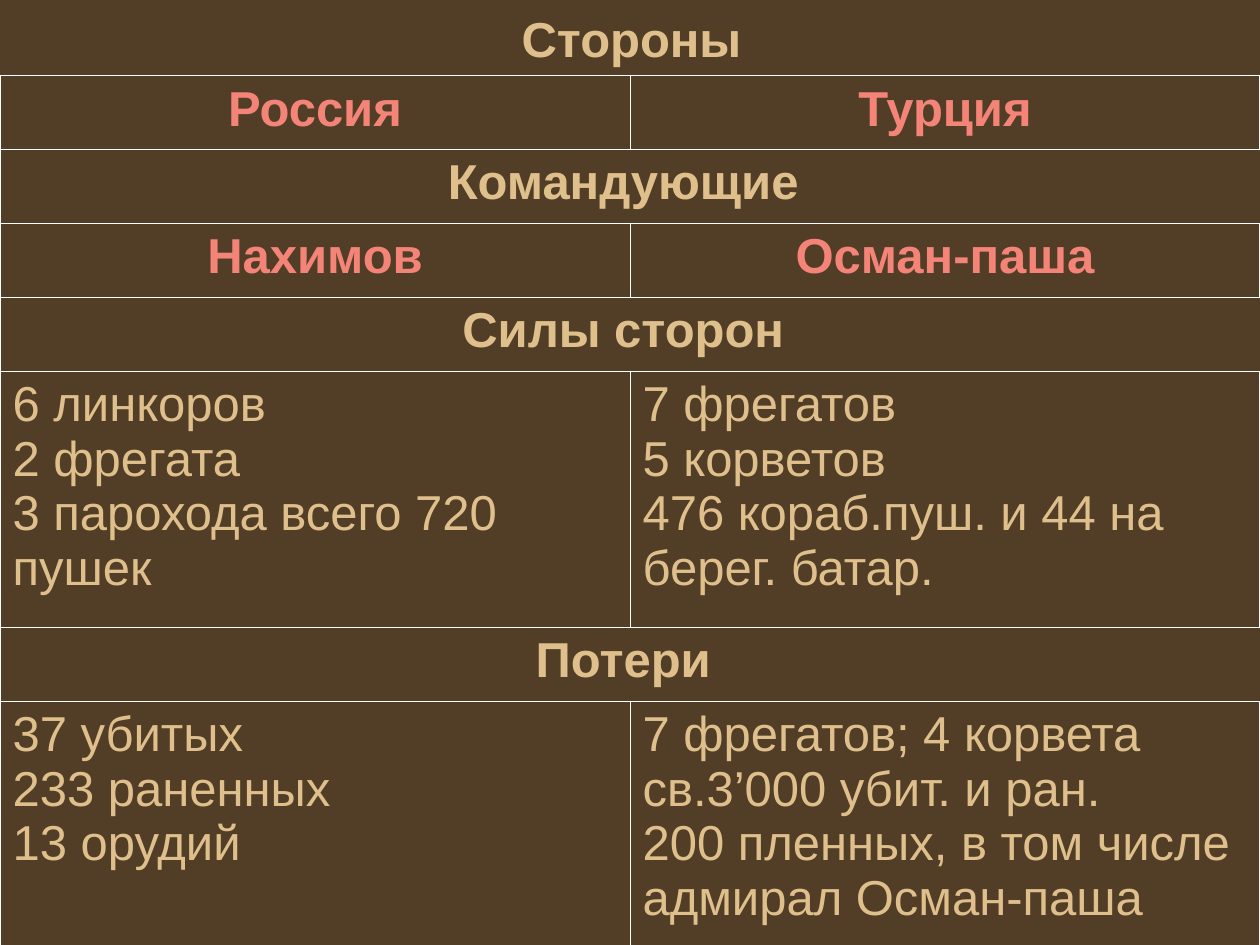
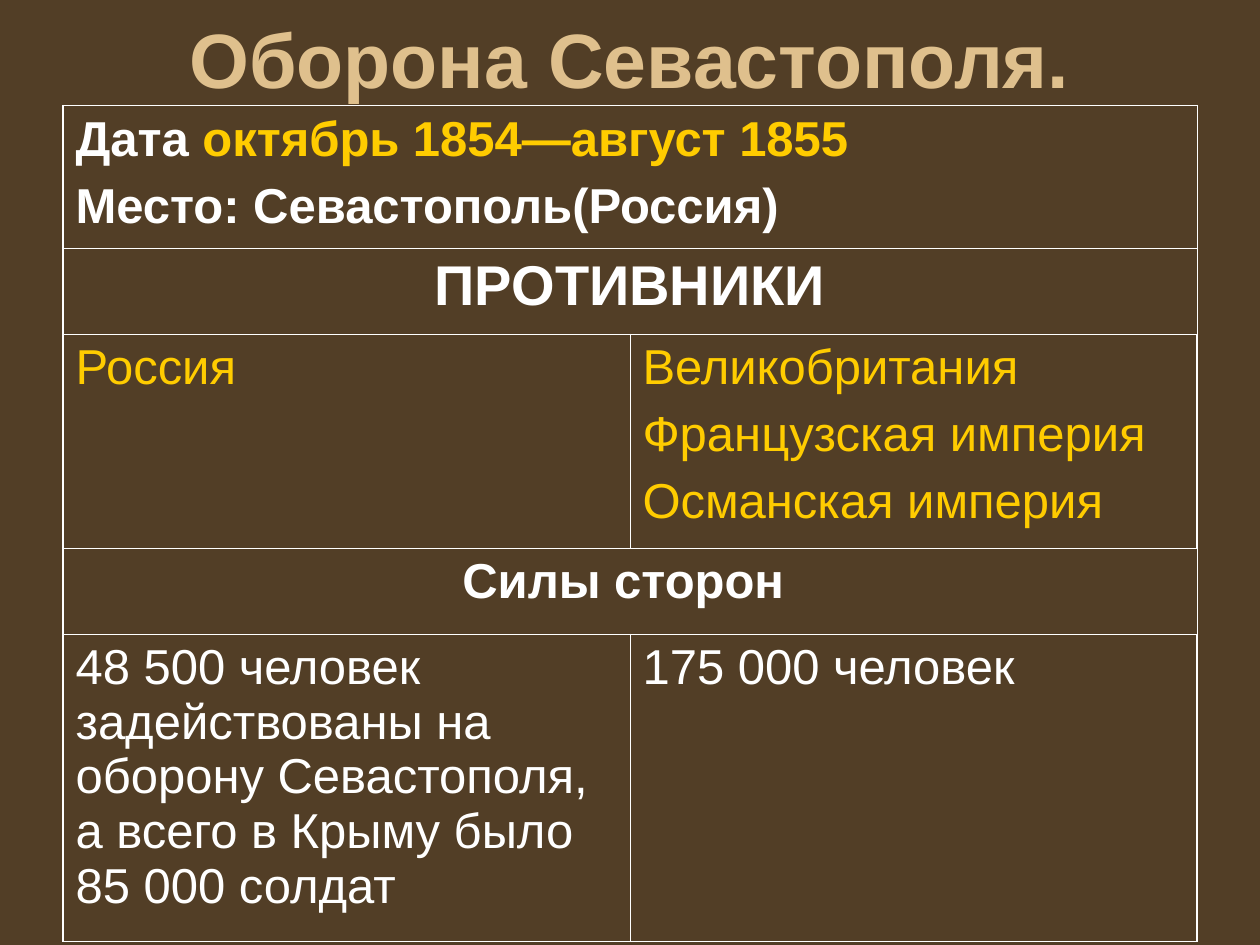
"""Builds two slides on Crimean War battles, each a title over a bordered table."""
from dataclasses import dataclass

from lxml import etree
from pptx import Presentation
from pptx import util as u
from pptx.dml.color import RGBColor
from pptx.enum import text
from pptx.oxml.ns import qn


@dataclass(frozen=True)
class Theme:
    font: str = "Arial"
    ground: str = "523E26"
    sand: str = "DFC08D"
    coral: str = "F48478"
    gold: str = "FFCC00"
    white: str = "FFFFFF"
    body: int = 28
    subhead: int = 32
    headline: int = 44
    outer: float = 1.08
    inner: float = 0.45


T = Theme()
LEFT, CENTER = text.PP_ALIGN.LEFT, text.PP_ALIGN.CENTER


def add_runs(p, runs, size, bold, align):
    p.alignment = align
    for words, color in runs:
        for i, line in enumerate(words.split("\n")):
            if i:
                p.add_line_break()
            r = p.add_run()
            r.text = line
            r.font.name, r.font.size, r.font.bold = T.font, u.Pt(size), bold
            r.font.color.rgb = RGBColor.from_string(color)


def add_borders(cell, widths):
    cell.fill.background()
    tcPr = cell._tc.get_or_add_tcPr()
    for i, (side, width) in enumerate(zip("LRTB", widths)):
        ln = etree.Element(qn("a:ln" + side), w=str(u.Pt(width)))
        fill = etree.SubElement(ln, qn("a:solidFill"))
        etree.SubElement(fill, qn("a:srgbClr"), val=T.white)
        tcPr.insert(i, ln)


sinop_rows = [
    (1.49, T.body, True, CENTER, [[[("Россия", T.coral)]], [[("Турция", T.coral)]]]),
    (1.49, T.body, True, CENTER, [[[("Командующие ", T.sand)]]]),
    (1.49, T.body, True, CENTER, [[[("Нахимов", T.coral)]], [[("Осман-паша", T.coral)]]]),
    (1.49, T.body, True, CENTER, [[[("Силы сторон ", T.sand)]]]),
    (5.16, T.body, False, LEFT, [
        [[("6 линкоров\n2 фрегата\n3 парохода всего 720 пушек", T.sand)]],
        [[("7 фрегатов\n5 корветов\n476 кораб.пуш. и 44 на берег. батар.", T.sand)]],
    ]),
    (1.49, T.body, True, CENTER, [[[("Потери ", T.sand)]]]),
    (5.18, T.body, False, LEFT, [
        [[("37 убитых\n233 раненных\n13 орудий", T.sand)]],
        [[("7 фрегатов; 4 корвета\nсв.3’000 убит. и ран.\n"
           "200 пленных, в том числе адмирал Осман-паша", T.sand)]],
    ]),
]
sevastopol_rows = [
    (2.87, T.body, True, LEFT, [[
        [("Дата ", T.white), ("октябрь 1854—август 1855", T.gold)],
        [("Место: Севастополь(Россия)", T.white)],
    ]]),
    (1.73, T.subhead, True, CENTER, [[[("ПРОТИВНИКИ", T.white)]]]),
    (4.32, T.body, False, LEFT, [
        [[("Россия", T.gold)]],
        [[("Великобритания", T.gold)], [("Французская империя", T.gold)],
         [("Османская империя", T.gold)]],
    ]),
    (1.73, T.body, True, CENTER, [[[("Силы сторон ", T.white)]]]),
    (6.2, T.body, False, LEFT, [
        [[("48 500 человек задействованы на оборону Севастополя, "
           "а всего в Крыму было 85 000 солдат", T.white)]],
        [[("175 000 человек", T.white)]],
    ]),
]
slides = [
    ("Стороны", T.body, (1.3, 0, 22.86, 1.52), (0, 1.52, 25.4), sinop_rows),
    ("Оборона Севастополя.", T.headline, (1.27, 0, 22.86, 2.31), (1.27, 2.13, 22.86),
     sevastopol_rows),
]

prs = Presentation()
prs.slide_width, prs.slide_height = u.Cm(25.4), u.Cm(19.05)
ground = prs.slide_master.background.fill
ground.solid()
ground.fore_color.rgb = RGBColor.from_string(T.ground)

for title, title_size, title_box, (left, top, width), rows in slides:
    s = prs.slides.add_slide(prs.slide_layouts[5])
    sp = s.shapes.title
    sp.left, sp.top, sp.width, sp.height = map(u.Cm, title_box)
    tf = sp.text_frame
    tf.word_wrap = True
    tf.auto_size = text.MSO_AUTO_SIZE.NONE
    tf.vertical_anchor = text.MSO_ANCHOR.MIDDLE
    add_runs(tf.paragraphs[0], [(title, T.sand)], title_size, True, CENTER)

    height = sum(row[0] for row in rows)
    tbl = s.shapes.add_table(len(rows), 2, *map(u.Cm, (left, top, width, height))).table
    tbl.first_row = tbl.horz_banding = False
    for i, (row_height, size, bold, align, cells) in enumerate(rows):
        tbl.rows[i].height = u.Cm(row_height)
        upper = T.inner if i else T.outer
        lower = T.outer if i == len(rows) - 1 else T.inner
        add_borders(tbl.cell(i, 0), (T.outer, T.inner, upper, lower))
        add_borders(tbl.cell(i, 1), (T.inner, T.outer, upper, lower))
        if len(cells) == 1:
            tbl.cell(i, 0).merge(tbl.cell(i, 1))
        for j, paragraphs in enumerate(cells):
            tf = tbl.cell(i, j).text_frame
            for k, runs in enumerate(paragraphs):
                p = tf.add_paragraph() if k else tf.paragraphs[0]
                if k:
                    p.space_before = u.Pt(7)
                add_runs(p, runs, size, bold, align)

prs.save("out.pptx")
